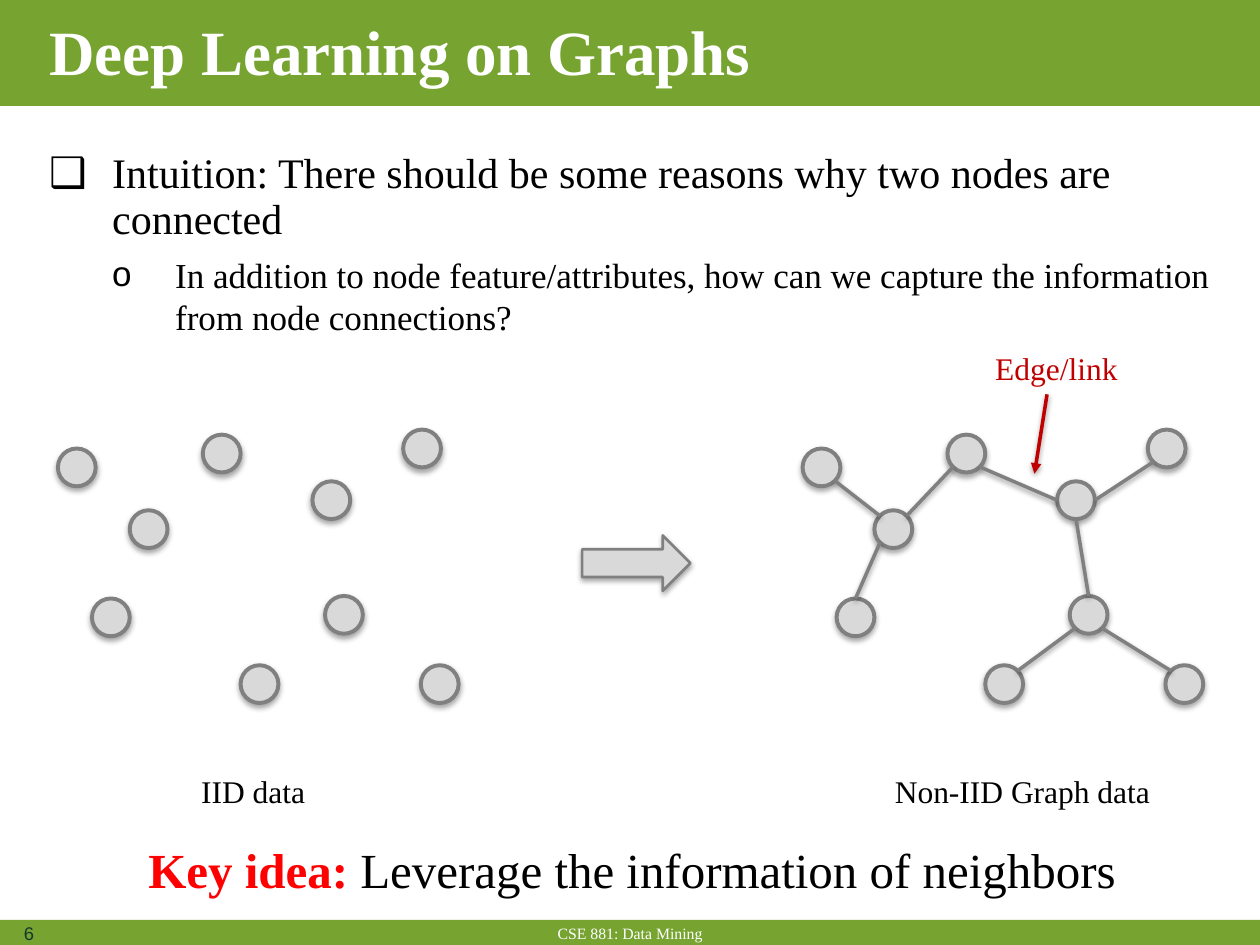
from dataclasses import dataclass
from pptx import Presentation
from pptx.dml.color import RGBColor
from pptx.enum.shapes import MSO_CONNECTOR, MSO_SHAPE
from pptx.enum.text import MSO_ANCHOR, MSO_AUTO_SIZE, PP_ALIGN
from pptx.oxml import parse_xml
from pptx.oxml.ns import nsdecls, qn
from pptx.util import Inches, Pt

RECT, OVAL, ARROW = MSO_SHAPE.RECTANGLE, MSO_SHAPE.OVAL, MSO_SHAPE.RIGHT_ARROW
LINE = MSO_CONNECTOR.STRAIGHT
LEFT, MID, RIGHT = PP_ALIGN.LEFT, PP_ALIGN.CENTER, PP_ALIGN.RIGHT
TOP, CENTER = MSO_ANCHOR.TOP, MSO_ANCHOR.MIDDLE
GROW = MSO_AUTO_SIZE.SHAPE_TO_FIT_TEXT


@dataclass(frozen=True)
class Theme:
    green: str = "77A431"
    white: str = "FFFFFF"
    black: str = "000000"
    dark: str = "13362D"
    grey: str = "808080"
    pale: str = "D9D9D9"
    crimson: str = "C00000"
    red: str = "FF0000"
    serif: str = "Times New Roman"
    sans: str = "Arial"
    title: float = 36
    key: float = 28
    body: float = 24
    sub: float = 20
    label: float = 18
    page: float = 10.5
    foot: float = 9


T = Theme()
rgb = RGBColor.from_string


def write(para, text, size, color, bold=False, font=T.serif, align=LEFT):
    para.alignment = align
    run = para.add_run()
    run.text = text
    form = {"size": Pt(size), "bold": bold, "name": font}
    for name, value in form.items():
        setattr(run.font, name, value)
    run.font.color.rgb = rgb(color)


def shade(shape, alpha, dist):
    shape._element.spPr.append(parse_xml(
        f'<a:effectLst {nsdecls("a")}><a:outerShdw blurRad="{Pt(3.15)}" '
        f'dist="{Pt(dist)}" dir="5400000" rotWithShape="0">'
        f'<a:srgbClr val="{T.black}"><a:alpha val="{alpha}000"/></a:srgbClr>'
        '</a:outerShdw></a:effectLst>'))


deck = Presentation()
deck.slide_width, deck.slide_height = Inches(10), Inches(7.5)
slide = deck.slides.add_slide(deck.slide_layouts[6])
shapes = slide.shapes

# Header and footer bands
for top, high in [(0, 0.84), (7.3, 0.21)]:
    band = shapes.add_shape(RECT, 0, Inches(top), Inches(10), Inches(high))
    band.shadow.inherit = False
    band.fill.solid()
    band.fill.fore_color.rgb = rgb(T.green)
    band.line.fill.background()

# Text frames with narrow margins: title, body, page number, footer
frames = [band.text_frame]
for spot in [(0.35, 0.08, 9.28, 0.68), (0.35, 1.19, 9.51, 6.11),
             (0.03, 7.3, 0.32, 0.23)]:
    frames.append(shapes.add_textbox(*map(Inches, spot)).text_frame)
tight = {"margin_left": Inches(0.04), "margin_right": Inches(0.04),
         "margin_top": Inches(0.02), "margin_bottom": Inches(0.02),
         "word_wrap": True, "vertical_anchor": TOP}
for frame in frames:
    for name, value in tight.items():
        setattr(frame, name, value)
foot, title, body, page = frames
foot.vertical_anchor = CENTER
write(foot.paragraphs[0], "CSE 881: Data Mining", T.foot, T.white, align=MID)
write(title.paragraphs[0], "Deep Learning on Graphs", T.title, T.white, True)
write(page.paragraphs[0], "6 ", T.page, T.dark, font=T.sans, align=RIGHT)

# Bulleted body
points = [
    ("❑", T.body, 0.9, 4.8, "Intuition: There should be some reasons why "
     "two nodes are connected"),
    ("o", T.sub, 1, 6, "In addition to node feature/attributes, how can we "
     "capture the information from node connections?"),
]
for level, (mark, size, space, gap, text) in enumerate(points):
    para = body.add_paragraph() if level else body.paragraphs[0]
    write(para, text, size, T.black)
    para.level, para.line_spacing, para.space_before = level, space, Pt(gap)
    props = para._p.get_or_add_pPr()
    props.set("marL", str(Inches(0.5 * (level + 1))))
    props.set("indent", str(Inches(-0.5)))
    for tag in [f'buFont {nsdecls("a")} typeface="{T.sans}"',
                f'buChar {nsdecls("a")} char="{mark}"']:
        props.append(parse_xml(f"<a:{tag}/>"))

# Nodes by top left corner: loose on the left, linked on the right
SIZE, SHIFT = 0.3, 5.91
nodes = {"A": (0.46, 3.56), "B": (1.03, 4.05), "C": (0.73, 4.75),
         "D": (1.61, 3.45), "E": (2.48, 3.82), "F": (3.2, 3.41),
         "G": (2.58, 4.73), "H": (1.91, 5.28), "I": (3.34, 5.28)}
solids = [(OVAL, x + dx, y, SIZE, SIZE, 2.25)
          for dx in (0, SHIFT) for x, y in nodes.values()]
solids.append((ARROW, 4.62, 4.25, 0.86, 0.44, 1.5))
for kind, *spot, width in solids:
    solid = shapes.add_shape(kind, *map(Inches, spot))
    solid.fill.solid()
    solid.fill.fore_color.rgb = rgb(T.pale)
    solid.line.color.rgb = rgb(T.grey)
    solid.line.width = Pt(width)
    shade(solid, 35, 1.8)

# Edges run between compass points on the node rims
rim = {"N": (0, -1), "S": (0, 1), "E": (1, 0), "W": (-1, 0),
       "NE": (0.7, -0.7), "NW": (-0.7, -0.7),
       "SE": (0.7, 0.7), "SW": (-0.7, 0.7)}
edges = ["A SE B NW", "D SW B NE", "C N B SW", "D SE E W",
         "G N E S", "F SW E E", "G SW H NE", "G SE I NW"]
lines = []
for edge in edges:
    first, out, last, into = edge.split()
    ends = []
    for node, side in [(first, out), (last, into)]:
        (x, y), (dx, dy) = nodes[node], rim[side]
        ends += [x + SHIFT + SIZE / 2 * (1 + dx), y + SIZE / 2 * (1 + dy)]
    lines.append((ends, T.grey))
lines.append(((8.31, 3.13, 8.21, 3.76), T.crimson))
for ends, color in lines:
    link = shapes.add_connector(LINE, *map(Inches, ends))
    link.line.color.rgb = rgb(color)
    link.line.width = Pt(2)
    shade(link, 38, 1.6)

# Arrowhead on the pointer, which is the last line
link._element.spPr.find(qn("a:ln")).append(
    parse_xml(f'<a:tailEnd {nsdecls("a")} type="triangle"/>'))

# Labels and key idea
labels = [
    ((1.49, 6.08, 1.04, 0.4), MID, T.label, [("IID data", T.black, False)]),
    ((6.99, 6.08, 2.25, 0.4), MID, T.label,
     [("Non-IID Graph data", T.black, False)]),
    ((7.8, 2.72, 1.18, 0.4), LEFT, T.label,
     [("Edge/link", T.crimson, False)]),
    ((1.08, 6.61, 8.06, 0.57), LEFT, T.key,
     [("Key idea: ", T.red, True),
      ("Leverage the information of neighbors", T.black, False)]),
]
for spot, align, size, runs in labels:
    frame = shapes.add_textbox(*map(Inches, spot)).text_frame
    frame.word_wrap, frame.auto_size = False, GROW
    for text, color, bold in runs:
        write(frame.paragraphs[0], text, size, color, bold, align=align)

deck.save("out.pptx")
